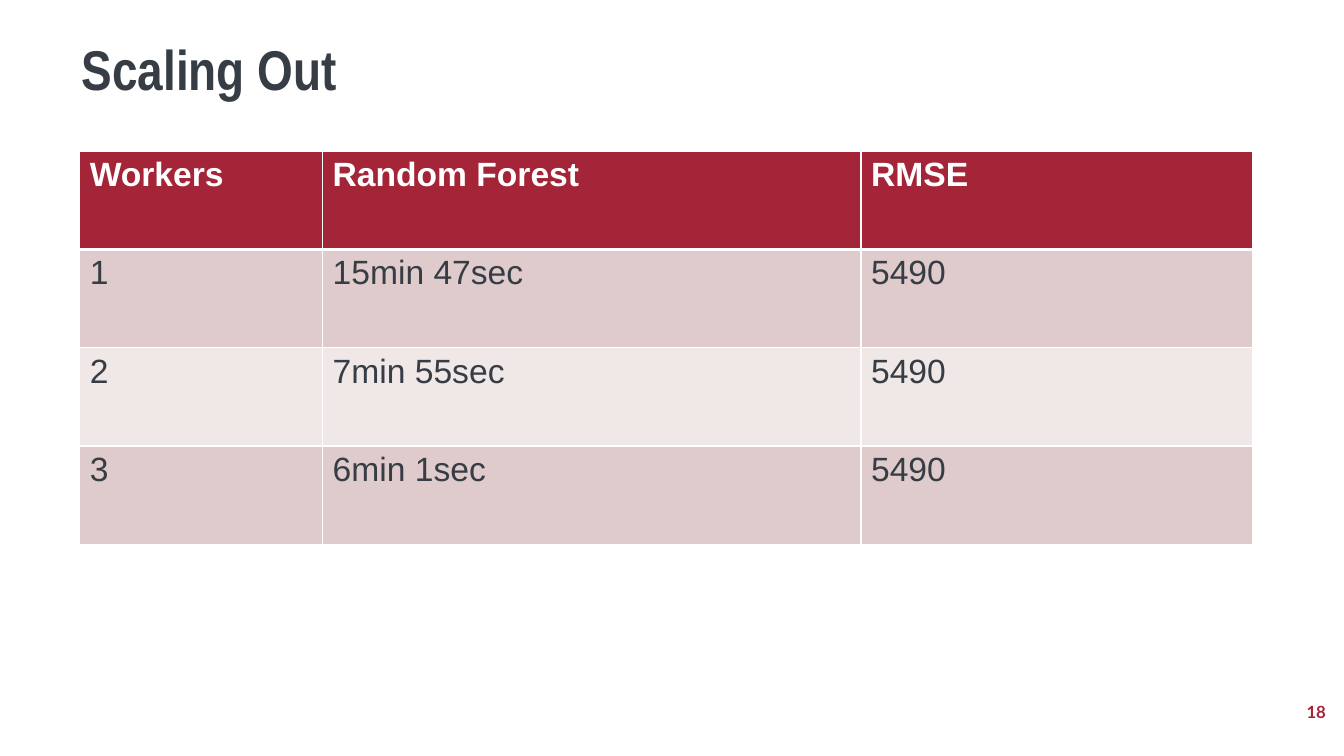
"""Build the "Scaling Out" slide with its table of worker timings."""
from lxml import etree
from pptx import Presentation
from pptx.dml.color import RGBColor
from pptx.enum.text import MSO_ANCHOR, PP_ALIGN
from pptx.oxml.ns import qn
from pptx.util import Inches, Pt

CRIMSON, SLATE, WHITE = "A32537", "363D45", "FFFFFF"
BANDS = ["F0E7E7", "E0CBCC"]


def style(paragraph, font_name, size, color, bold):
    paragraph.font.name = font_name
    paragraph.font.size = Pt(size)
    paragraph.font.bold = bold
    paragraph.font.color.rgb = RGBColor.from_string(color)


def add_borders(cell, widths):
    properties = cell._tc.get_or_add_tcPr()
    for position, (side, width) in enumerate(widths.items()):
        line = etree.Element(qn(f"a:ln{side}"), w=str(Pt(width)))
        fill = etree.SubElement(line, qn("a:solidFill"))
        etree.SubElement(fill, qn("a:srgbClr"), val=WHITE)
        properties.insert(position, line)


presentation = Presentation()
presentation.slide_width = Inches(13.33)
presentation.slide_height = Inches(7.5)
slide = presentation.slides.add_slide(presentation.slide_layouts[5])

title = slide.shapes.title
title.left, title.top = Inches(0.71), Inches(0.37)
title.width, title.height = Inches(11.71), Inches(0.8)
title.text_frame.text = "Scaling Out"
title.text_frame.vertical_anchor = MSO_ANCHOR.TOP
heading = title.text_frame.paragraphs[0]
heading.alignment = PP_ALIGN.LEFT
heading.line_spacing = 0.9
style(heading, "Arial Narrow", 40, SLATE, True)

timings = [
    ["Workers", "Random Forest", "RMSE"],
    ["1", "15min 47sec", "5490"],
    ["2", "7min 55sec", "5490"],
    ["3", "6min 1sec", "5490"],
]
column_widths = [2.41, 5.34, 3.88]
timing_table = slide.shapes.add_table(
    len(timings), len(column_widths),
    Inches(0.79), Inches(1.5), Inches(11.63), Inches(3.9),
).table
for column, width in zip(timing_table.columns, column_widths):
    column.width = Inches(width)

for row_index, values in enumerate(timings):
    is_header = row_index == 0
    for column_index, value in enumerate(values):
        cell = timing_table.cell(row_index, column_index)
        cell.text = value
        cell.fill.solid()
        cell.fill.fore_color.rgb = RGBColor.from_string(
            CRIMSON if is_header else BANDS[row_index % 2])
        style(cell.text_frame.paragraphs[0], "Arial", 24,
              WHITE if is_header else SLATE, is_header)
        add_borders(cell, {"L": 1, "R": 1,
                           "T": 3 if row_index == 1 else 1,
                           "B": 3 if is_header else 1})

page_number = slide.shapes.add_textbox(
    Inches(10.25), Inches(6.86), Inches(3), Inches(0.4)).text_frame
page_number.word_wrap = True
page_number.vertical_anchor = MSO_ANCHOR.MIDDLE
page_number.text = "18"
page_number.paragraphs[0].alignment = PP_ALIGN.RIGHT
style(page_number.paragraphs[0], "Lato", 12, CRIMSON, True)

presentation.save("out.pptx")
